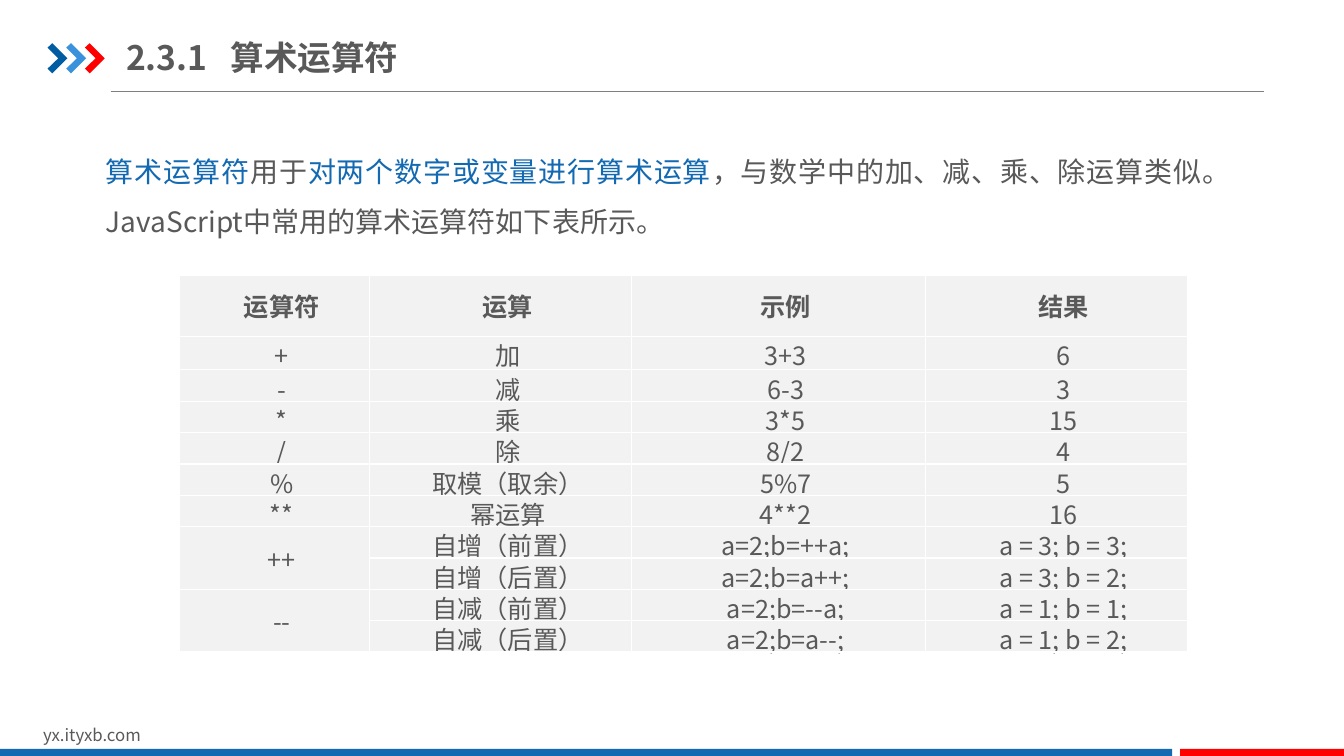
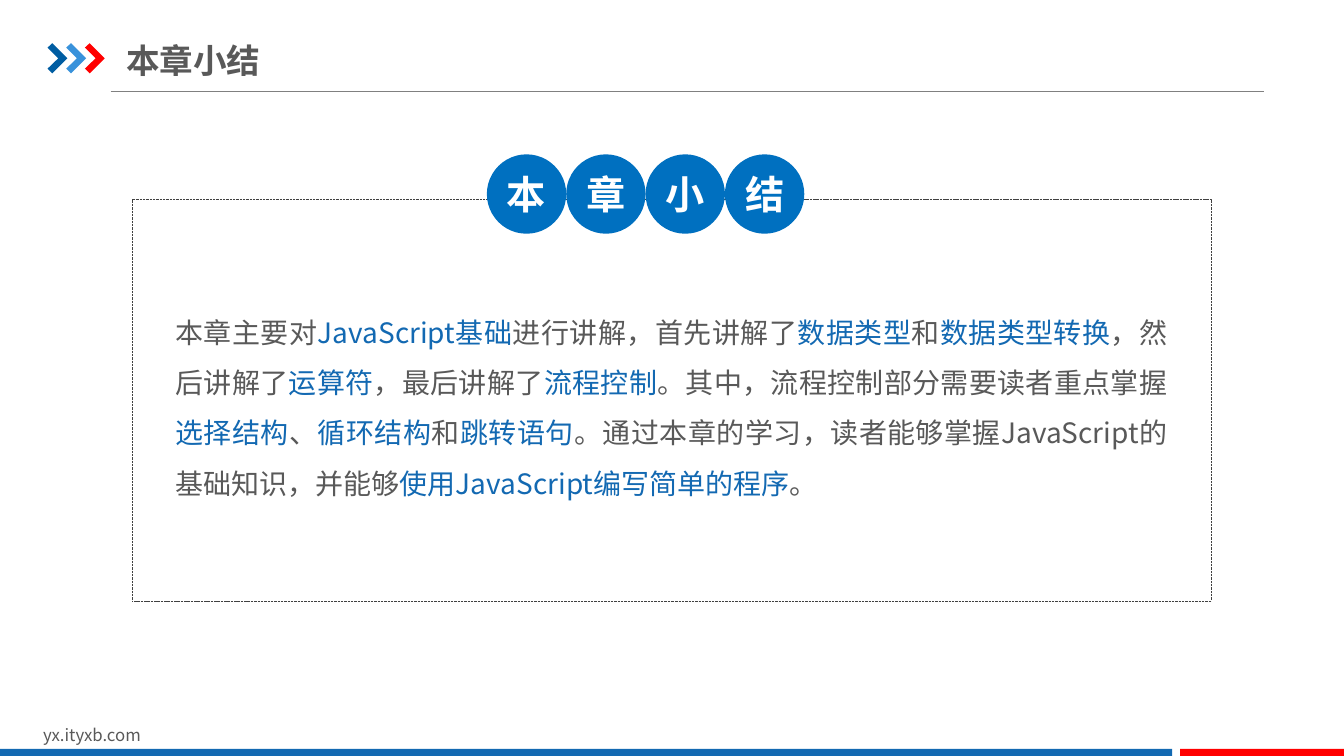
from dataclasses import dataclass

from lxml.etree import SubElement
from pptx import Presentation
from pptx.dml.color import RGBColor as Rgb
from pptx.enum.dml import MSO_LINE as Dash
from pptx.enum.shapes import MSO_CONNECTOR as Link, MSO_SHAPE as Form
from pptx.enum.text import MSO_ANCHOR as Anchor, MSO_AUTO_SIZE as Fit, PP_ALIGN as Align
from pptx.oxml.ns import qn
from pptx.util import Cm, Pt


@dataclass(frozen=True)
class Theme:
    font: str = "Noto Sans CJK SC"
    ink: str = "595959"
    blue: str = "1369B2"
    navy: str = "005DA2"
    sky: str = "3992DB"
    red: str = "FF0000"
    disc: str = "0070C0"
    white: str = "FFFFFF"
    pale: str = "F2F2F2"
    rule: str = "808080"
    edge: str = "404040"
    small: int = 12
    cell: int = 18
    body: int = 20
    title: int = 24
    badge: int = 28


THEME = Theme()
CHEVRON = [(0, 0.11), (0.12, 0), (0.5, 0.38), (0.12, 0.76), (0, 0.64), (0.27, 0.38)]
INTRO = "|算术运算符|用于|对两个数字或变量进行算术运算|，与数学中的加、减、乘、除运算类似。JavaScript中常用的算术运算符如下表所示。"
ROWS = [
    ("运算符", "运算", "示例", "结果"),
    ("+", "加", "3+3", "6"),
    ("-", "减", "6-3", "3"),
    ("*", "乘", "3*5", "15"),
    ("/", "除", "8/2", "4"),
    ("%", "取模（取余）", "5%7", "5"),
    ("**", "幂运算", "4**2", "16"),
    ("++", "自增（前置）", "a=2;b=++a;", "a = 3; b = 3;"),
    ("", "自增（后置）", "a=2;b=a++;", "a = 3; b = 2;"),
    ("--", "自减（前置）", "a=2;b=--a;", "a = 1; b = 1;"),
    ("", "自减（后置）", "a=2;b=a--;", "a = 1; b = 2;"),
]
RECAP = (
    "本章主要对|JavaScript基础|进行讲解，首先讲解了|数据类型|和|数据类型转换|，然后讲解了|运算符|"
    "，最后讲解了|流程控制|。其中，流程控制部分需要读者重点掌握|选择结构|、|循环结构|和|跳转语句|"
    "。通过本章的学习，读者能够掌握JavaScript的基础知识，并能够|使用JavaScript编写简单的程序|。"
)


def place(*sides):
    return [Cm(side) for side in sides]


def style(run, size, tint=THEME.ink, bold=False):
    font = run.font
    font.name, font.size, font.bold = THEME.font, Pt(size), bold
    font.color.rgb = Rgb.from_string(tint)
    east = SubElement(font._element, qn("a:ea"))
    east.set("typeface", THEME.font)


def inset(frame, x, y):
    frame.margin_left = frame.margin_right = Cm(x)
    frame.margin_top = frame.margin_bottom = Cm(y)


def paint(shape, tint):
    shape.shadow.inherit = False
    shape.fill.solid()
    shape.fill.fore_color.rgb = Rgb.from_string(tint)
    shape.line.fill.background()
    return shape


def add_bar(page, box, tint):
    return paint(page.shapes.add_shape(Form.RECTANGLE, *place(*box)), tint)


def add_arrow(page, left, top, tint):
    dots = [(Cm(left + x), Cm(top + y)) for x, y in CHEVRON]
    pen = page.shapes.build_freeform(*dots[0])
    pen.add_line_segments(dots[1:], close=True)
    return paint(pen.convert_to_shape(), tint)


def add_rule(page):
    rule = page.shapes.add_connector(Link.STRAIGHT, *place(2.79, 2.31, 31.85, 2.31))
    rule.line.color.rgb = Rgb.from_string(THEME.rule)
    rule.line.width = Pt(0.75)
    SubElement(rule.element.spPr, qn("a:effectLst"))
    return rule


def add_site(page):
    site = page.shapes.add_textbox(*place(0.84, 18.14, 8.08, 0.76))
    frame = site.text_frame
    frame.word_wrap = True
    frame.text = "yx.ityxb.com"
    style(frame.paragraphs[0].runs[0], THEME.small)
    return site


def share(page):
    tints = (THEME.navy, THEME.sky, THEME.red)
    marks = [add_rule(page), add_site(page)]
    marks += [add_arrow(page, 1.2 + 0.47 * n, 1.09, tint) for n, tint in enumerate(tints)]
    marks += [
        add_bar(page, (0, 18.87, 29.54, 0.23), THEME.blue),
        add_bar(page, (29.74, 18.87, 4.13, 0.23), THEME.red),
    ]
    tree = page.slide_layout.shapes.element
    for number, mark in enumerate(marks, 100):
        mark.element.xpath("./*[1]/p:cNvPr")[0].set("id", str(number))
        tree.append(mark.element)


def set_title(page, text, box):
    title = page.shapes.title
    title.left, title.top, title.width, title.height = place(*box)
    frame = title.text_frame
    frame.auto_size, frame.vertical_anchor = Fit.NONE, Anchor.MIDDLE
    inset(frame, 0, 0.18)
    frame.text = text
    line = frame.paragraphs[0]
    line.alignment = Align.LEFT
    stops = SubElement(line._p.get_or_add_pPr(), qn("a:tabLst"))
    SubElement(stops, qn("a:tab"), pos=str(Cm(2.63)), algn="l")
    for run in line.runs:
        style(run, THEME.title, bold=True)


def add_prose(page, text, box, x=0, y=0):
    frame = page.shapes.add_textbox(*place(*box)).text_frame
    frame.word_wrap = True
    inset(frame, x, y)
    line = frame.paragraphs[0]
    line.alignment, line.line_spacing = Align.JUSTIFY, 1.5
    for n, part in enumerate(text.split("|")):
        if part:
            run = line.add_run()
            run.text = part
            style(run, THEME.body, THEME.blue if n % 2 else THEME.ink)


def fill_cell(cell, text, bold):
    cell.fill.solid()
    cell.fill.fore_color.rgb = Rgb.from_string(THEME.pale)
    cell.vertical_anchor = Anchor.MIDDLE
    inset(cell, 0.18, 0)
    cell.text = text
    line = cell.text_frame.paragraphs[0]
    line.alignment = Align.CENTER
    line._p.get_or_add_pPr().set("indent", str(Cm(0.36)))
    for run in line.runs:
        style(run, THEME.cell, bold=bold)


def add_grid(page):
    widths, heights = (4.8, 6.6, 7.4, 6.6), [1.55, 0.84] + [0.79] * 9
    holder = page.shapes.add_table(len(ROWS), len(widths), *place(4.52, 6.93, 25.4, 9.55))
    grid = holder.table
    grid.first_row = grid.horz_banding = False
    for column, width in zip(grid.columns, widths):
        column.width = Cm(width)
    for row, height in zip(grid.rows, heights):
        row.height = Cm(height)
    holder.height = Cm(9.55)
    for r, texts in enumerate(ROWS):
        for c, text in enumerate(texts):
            fill_cell(grid.cell(r, c), text, r == 0)
    for r in (7, 9):
        grid.cell(r, 0).merge(grid.cell(r + 1, 0))


def add_panel(page):
    panel = page.shapes.add_shape(Form.RECTANGLE, *place(3.33, 5.03, 27.2, 10.11))
    panel.shadow.inherit = False
    panel.fill.background()
    panel.line.color.rgb = Rgb.from_string(THEME.edge)
    panel.line.width, panel.line.dash_style = Pt(0.25), Dash.SQUARE_DOT


def add_badge(page, left, text):
    badge = paint(page.shapes.add_shape(Form.OVAL, *place(left, 3.89, 2, 2)), THEME.disc)
    frame = badge.text_frame
    inset(frame, 0, 0)
    frame.vertical_anchor = Anchor.MIDDLE
    frame.text = text
    line = frame.paragraphs[0]
    line.alignment = Align.CENTER
    style(line.runs[0], THEME.badge, THEME.white, True)


def main():
    deck = Presentation()
    deck.slide_width, deck.slide_height = place(33.87, 19.05)
    layout = deck.slide_layouts[5]

    page = deck.slides.add_slide(layout)
    share(page)
    set_title(page, "2.3.1\t算术运算符", (3.18, 0.74, 10.82, 1.4))
    add_prose(page, INTRO, (2.34, 3.28, 29, 2.9), 0.33, 0.18)
    add_grid(page)

    page = deck.slides.add_slide(layout)
    set_title(page, "本章小结", (3.18, 0.91, 13.36, 1.22))
    add_panel(page)
    add_prose(page, RECAP, (4.42, 7.52, 25, 5.13))
    for n, text in enumerate("本章小结"):
        add_badge(page, 12.27 + 2 * n, text)

    deck.save("out.pptx")


if __name__ == "__main__":
    main()
